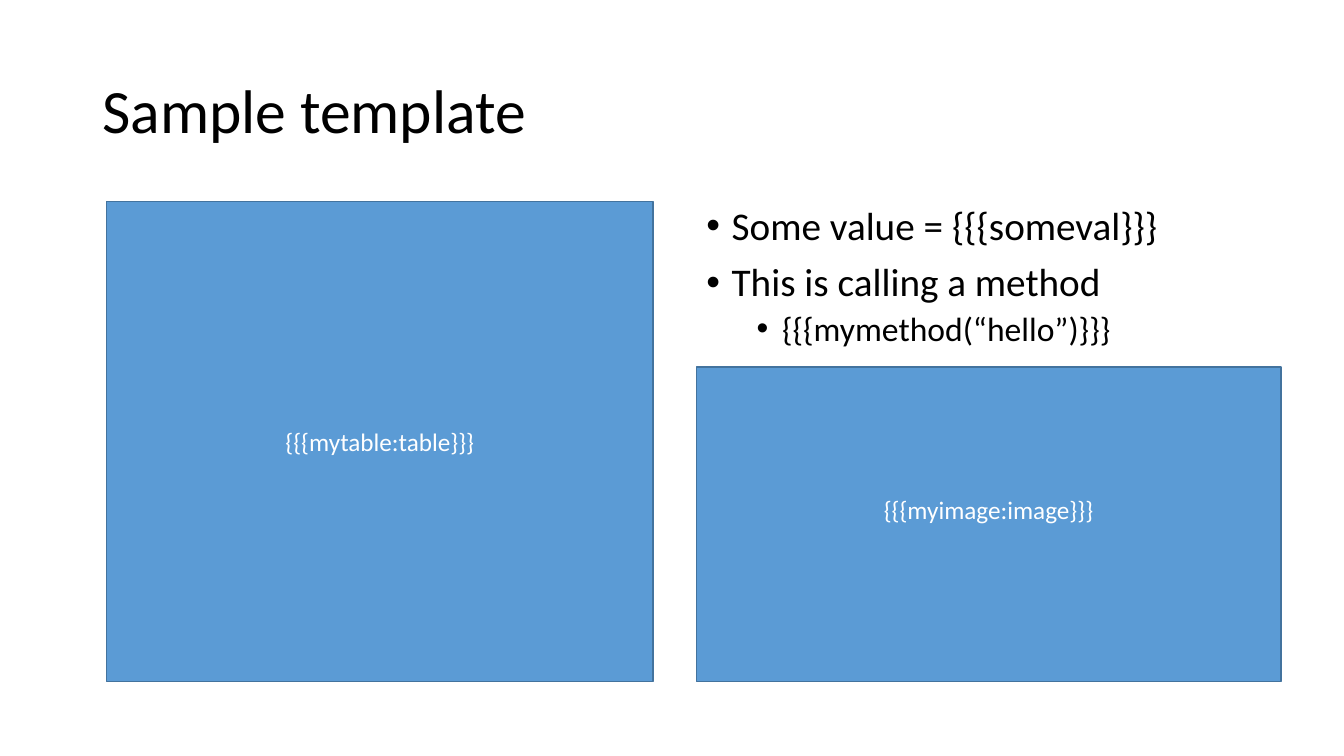
import pptx
import pptx.util
import pptx.dml.color
import pptx.enum.shapes
import pptx.enum.text
from lxml import etree

Cm, Pt = pptx.util.Cm, pptx.util.Pt
ANCHOR = pptx.enum.text.MSO_ANCHOR
ALIGN = pptx.enum.text.PP_ALIGN

# Content
TITLE = "Sample template"
BULLETS = [
    (0, "Some value = {{{someval}}}"),
    (0, "This is calling a method"),
    (1, "{{{mymethod(“hello”)}}}"),
]
# Level: size, space before, left indent in cm
LEVELS = [(28, 10, 0.64), (24, 5, 1.91)]
HANG = 0.64
COLORS = {"text": "000000", "fill": "5B9BD5", "line": "43739E", "label": "FFFFFF"}
FONT = "Calibri"

# Layout in cm: both columns share top and base
TOP, BASE = 5.08, 17.17
LEFT, RIGHT = 2.69, 17.55
SPLIT = 9.25
# Label, left, top, width, bottom inset
PANELS = [
    ("{{{mytable:table}}}", LEFT, TOP, 13.77, 0.13),
    ("{{{myimage:image}}}", RIGHT, SPLIT, 14.73, 0.89),
]

deck = pptx.Presentation()
deck.slide_width, deck.slide_height = Cm(33.87), Cm(19.05)
slide = deck.slides.add_slide(deck.slide_layouts[6])


def color(name):
    return pptx.dml.color.RGBColor.from_string(COLORS[name])


def style(para, size, name):
    for run in para.runs:
        run.font.name, run.font.size = FONT, Pt(size)
        run.font.color.rgb = color(name)


def add_text(left, top, width, height, anchor):
    box = slide.shapes.add_textbox(Cm(left), Cm(top), Cm(width), Cm(height))
    frame = box.text_frame
    frame.word_wrap, frame.vertical_anchor = True, anchor
    return frame


def add_bullet(para, left):
    props = para._p.get_or_add_pPr()
    props.set("marL", str(Cm(left)))
    props.set("indent", str(-Cm(HANG)))
    space = pptx.oxml.ns.qn
    etree.SubElement(props, space("a:buFont")).set("typeface", "Arial")
    etree.SubElement(props, space("a:buChar")).set("char", "•")


# Title
para = add_text(2.33, 1.01, 29.21, 3.68, ANCHOR.MIDDLE).paragraphs[0]
para.text, para.line_spacing = TITLE, 0.9
style(para, 44, "text")

# Bullets
frame = add_text(RIGHT, TOP, 14, BASE - TOP, ANCHOR.TOP)
frame.text = "\n".join(text for _, text in BULLETS)
for para, (level, _) in zip(frame.paragraphs, BULLETS):
    size, before, left = LEVELS[level]
    para.level, para.line_spacing, para.space_before = level, 0.9, Pt(before)
    add_bullet(para, left)
    style(para, size, "text")

# Panels
for label, left, top, width, inset in PANELS:
    panel = slide.shapes.add_shape(
        pptx.enum.shapes.MSO_SHAPE.RECTANGLE,
        Cm(left), Cm(top), Cm(width), Cm(BASE - top))
    panel.shadow.inherit = False
    panel.fill.solid()
    panel.fill.fore_color.rgb = color("fill")
    panel.line.color.rgb, panel.line.width = color("line"), Pt(1)
    frame = panel.text_frame
    frame.text, frame.word_wrap = label, True
    frame.vertical_anchor, frame.margin_bottom = ANCHOR.MIDDLE, Cm(inset)
    frame.paragraphs[0].alignment = ALIGN.CENTER
    style(frame.paragraphs[0], 18, "label")

deck.save("out.pptx")
